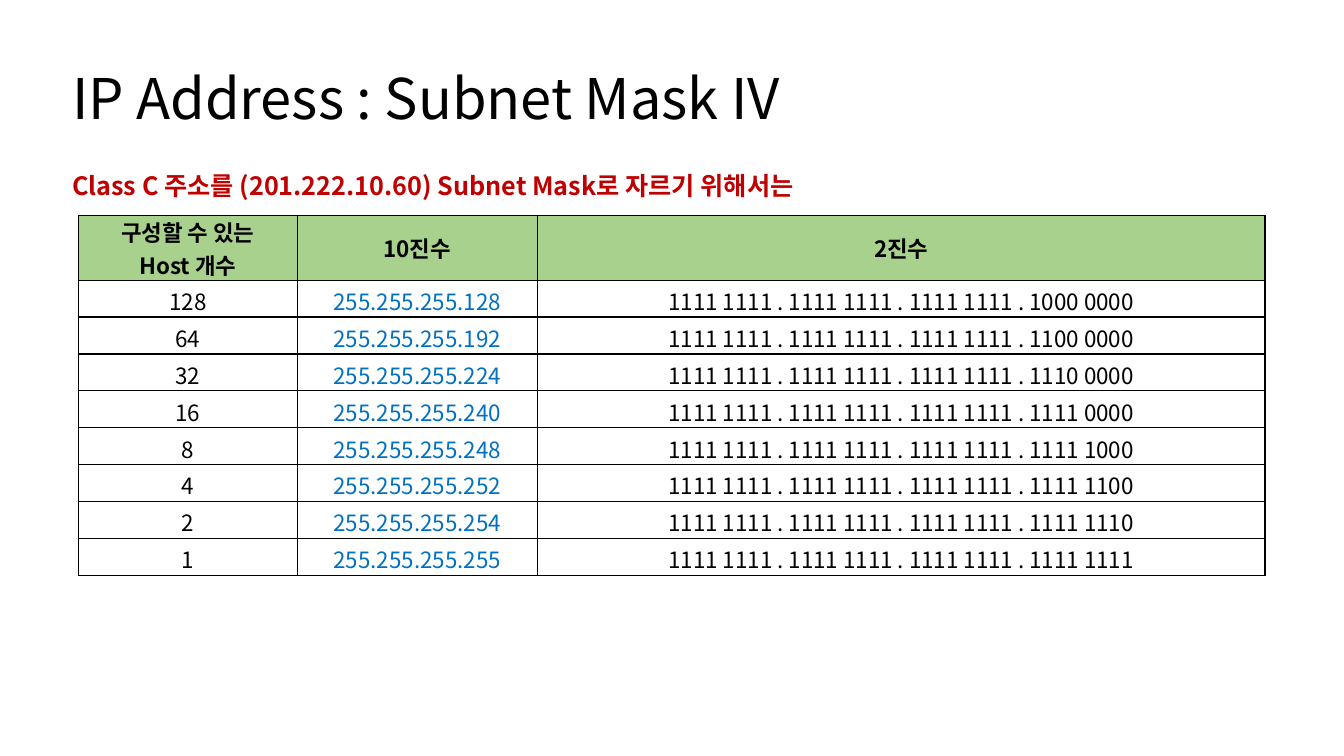
from lxml import etree
from pptx import Presentation
from pptx import util as u
from pptx.dml.color import RGBColor
from pptx.enum import text
from pptx.oxml.ns import qn

FONT = "Noto Sans CJK KR"
BLACK, RED, BLUE, GREEN, WHITE = "000000", "C00000", "0070C0", "A9D18E", "FFFFFF"
HEADERS = ["구성할 수 있는\nHost 개수", "10진수", "2진수"]
COLUMN_WIDTHS = [5.51, 6.05, 18.34]
HEADER_HEIGHT, ROW_HEIGHT = 1.62, 0.93


def colour(value):
    return RGBColor.from_string(value)


def set_all(target, values):
    for name, value in values.items():
        setattr(target, name, value)


def write(frame, words, size, shade, bold=False, align=text.PP_ALIGN.LEFT, spacing=1.0):
    frame.text = words
    for para in frame.paragraphs:
        set_all(para, {"alignment": align, "line_spacing": spacing})
        for span in para.runs:
            set_all(span.font, {"name": FONT, "size": u.Pt(size), "bold": bold})
            span.font.color.rgb = colour(shade)
            east_asian = etree.SubElement(span.font._element, qn("a:ea"))
            east_asian.set("typeface", FONT)


def add_text(page, box, words, anchor, **style):
    frame = page.shapes.add_textbox(*map(u.Cm, box)).text_frame
    set_all(frame, {"word_wrap": True, "vertical_anchor": anchor})
    write(frame, words, **style)


def add_borders(cell):
    properties = cell._tc.get_or_add_tcPr()
    for side in ("lnL", "lnR", "lnT", "lnB"):
        line = etree.SubElement(properties, qn(f"a:{side}"), w=str(u.Pt(1)))
        fill = etree.SubElement(line, qn("a:solidFill"))
        etree.SubElement(fill, qn("a:srgbClr"), val=BLACK)


def mask_row(hosts):
    last = 256 - hosts
    octets = [255, 255, 255, last]
    binary = [f"{octet:08b}" for octet in octets]
    return [
        str(hosts),
        ".".join(map(str, octets)),
        " . ".join(f"{bits[:4]} {bits[4:]}" for bits in binary),
    ]


def add_mask_table(page, left, top):
    rows = [HEADERS] + [mask_row(2 ** power) for power in range(7, -1, -1)]
    heights = [HEADER_HEIGHT] + [ROW_HEIGHT] * (len(rows) - 1)
    box = (left, top, sum(COLUMN_WIDTHS), sum(heights))
    table = page.shapes.add_table(len(rows), len(HEADERS), *map(u.Cm, box)).table
    set_all(table, {"first_row": False, "horz_banding": False})
    for column, width in zip(table.columns, COLUMN_WIDTHS):
        column.width = u.Cm(width)
    for index, (row, height, words) in enumerate(zip(table.rows, heights, rows)):
        row.height = u.Cm(height)
        header = index == 0
        anchor = text.MSO_ANCHOR.MIDDLE if header else text.MSO_ANCHOR.TOP
        for position, (cell, value) in enumerate(zip(row.cells, words)):
            set_all(cell, {
                "vertical_anchor": anchor,
                "margin_top": u.Cm(0 if header else 0.11),
                "margin_bottom": u.Cm(0),
            })
            add_borders(cell)
            cell.fill.solid()
            cell.fill.fore_color.rgb = colour(GREEN if header else WHITE)
            shade = BLUE if position == 1 and not header else BLACK
            write(cell.text_frame, value, 16, shade, header, text.PP_ALIGN.CENTER)


def main():
    deck = Presentation()
    set_all(deck, {"slide_width": u.Cm(33.87), "slide_height": u.Cm(19.05)})
    page = deck.slides.add_slide(deck.slide_layouts[6])
    add_text(page, (1.57, 1.35, 31.32, 2.41), "IP Address : Subnet Mask IV",
             text.MSO_ANCHOR.MIDDLE, size=40, shade=BLACK, spacing=0.9)
    add_text(page, (1.57, 4.17, 31.32, 1.02),
             "Class C 주소를 (201.222.10.60) Subnet Mask로 자르기 위해서는",
             text.MSO_ANCHOR.TOP, size=18, shade=RED, bold=True)
    add_mask_table(page, 1.98, 5.44)
    deck.save("out.pptx")


if __name__ == "__main__":
    main()
